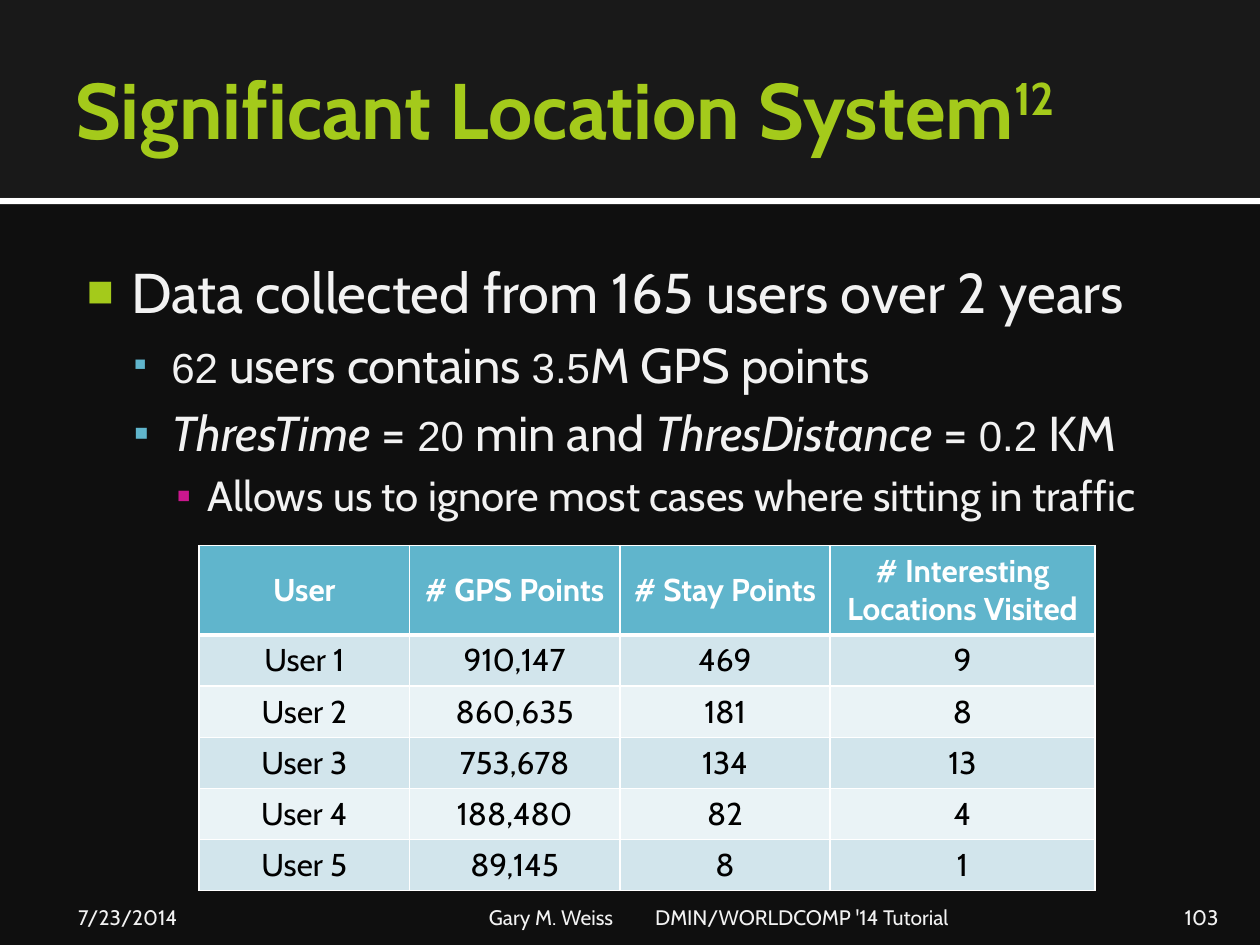
from lxml.etree import SubElement
from pptx import Presentation
from pptx.dml.color import RGBColor
from pptx.enum.shapes import MSO_SHAPE
from pptx.enum.text import MSO_ANCHOR, MSO_AUTO_SIZE, PP_ALIGN
from pptx.oxml import parse_xml
from pptx.oxml.ns import nsdecls, qn
from pptx.util import Inches, Pt

COLORS = {
    "background": "0F0F0F", "band": "191919", "white": "FFFFFF",
    "title": "A4CA1B", "text": "F2F2F2", "black": "000000",
    "header": "60B5CC", "odd": "D2E5EC", "even": "EAF3F6", "pink": "CB178E",
}


def color(name):
    return RGBColor.from_string(COLORS[name])


def add_span(para, text, size, tint="text", font="Cabin", **formats):
    span = para.add_run()
    span.text = text
    span.font.color.rgb = color(tint)
    for name, value in {"size": Pt(size), "name": font, **formats}.items():
        setattr(span.font, name, value)
    return span


deck = Presentation()
deck.slide_width, deck.slide_height = Inches(10), Inches(7.5)
page = deck.slides.add_slide(deck.slide_layouts[1])
page.background.fill.solid()
page.background.fill.fore_color.rgb = color("background")
title, body = page.placeholders

for top, height, fill in [(1.57, 0.05, "white"), (0, 1.57, "band")]:
    band = page.shapes.add_shape(
        MSO_SHAPE.RECTANGLE, 0, Inches(top), Inches(10), Inches(height))
    band.shadow.inherit = False
    band.fill.solid()
    band.fill.fore_color.rgb = color(fill)
    band.line.fill.background()
    title._element.addprevious(band._element)

date = page.shapes.add_textbox(0, 0, 0, 0)
footer = page.shapes.add_textbox(0, 0, 0, 0)
number = page.shapes.add_textbox(0, 0, 0, 0)

frames = [
    (title, (0.5, 0.17, 9, 1.37), (0.1, 0.05, 0.05, 0.05), MSO_ANCHOR.MIDDLE),
    (body, (0.5, 1.94, 9.17, 5.06), (0.06, 0.1, 0.1, 0.05), MSO_ANCHOR.TOP),
    (date, (0.5, 7.08, 2.33, 0.3), (0.12, 0.05, 0.05, 0), MSO_ANCHOR.BOTTOM),
    (footer, (3.83, 7.08, 5.08, 0.3), (0.05, 0.05, 0.05, 0), MSO_ANCHOR.BOTTOM),
    (number, (8.97, 7.08, 0.8, 0.3), (0.1, 0.05, 0.1, 0), MSO_ANCHOR.BOTTOM),
]
for box, place, insets, anchor in frames:
    for name, value in zip(("left", "top", "width", "height"), place):
        setattr(box, name, Inches(value))
    for side, value in zip(("left", "top", "right", "bottom"), insets):
        setattr(box.text_frame, f"margin_{side}", Inches(value))
    box.text_frame.word_wrap = True
    box.text_frame.auto_size = MSO_AUTO_SIZE.NONE
    box.text_frame.vertical_anchor = anchor

para = title.text_frame.paragraphs[0]
para.alignment = PP_ALIGN.LEFT
add_span(para, "Significant Location System", 45, "title", bold=True)
note = add_span(para, "12", 45, "title", bold=True)
note._r.get_or_add_rPr().set("baseline", "30000")

levels = [
    {"left": 0.48, "hang": 0.35, "mark": "■", "tint": "title", "scale": 80, "before": 0},
    {"left": 0.8, "hang": 0.3, "mark": "▪", "tint": "header", "scale": 90, "before": 5.6},
    {"left": 1.09, "hang": 0.25, "mark": "▪", "tint": "pink", "scale": 100, "before": 4.8},
]
digits = {"size": 24, "font": "Arial"}
plain = {"size": 28}
italic = {"size": 28, "italic": True}
bullets = [
    (0, [("Data collected from 165 users over 2 years", {"size": 32})]),
    (1, [("62", digits), (" users contains ", plain), ("3.5", digits),
         ("M GPS points", plain)]),
    (1, [("ThresTime", italic), (" = ", plain), ("20", digits), (" min and ", plain),
         ("ThresDistance", italic), (" = ", plain), ("0.2", digits), (" KM", plain)]),
    (2, [("Allows us to ignore most cases where sitting in traffic", {"size": 24})]),
]
for index, (level, spans) in enumerate(bullets):
    para = body.text_frame.add_paragraph() if index else body.text_frame.paragraphs[0]
    style = levels[level]
    para.level = level
    para.space_before = Pt(style["before"])
    props = para._p.get_or_add_pPr()
    props.set("marL", str(Inches(style["left"])))
    props.set("indent", str(-Inches(style["hang"])))
    tint = SubElement(props, qn("a:buClr"))
    SubElement(tint, qn("a:srgbClr"), val=COLORS[style["tint"]])
    SubElement(props, qn("a:buSzPct"), val=str(style["scale"] * 1000))
    SubElement(props, qn("a:buFont"), typeface="Arial")
    SubElement(props, qn("a:buChar"), char=style["mark"])
    for text, formats in spans:
        add_span(para, text, **formats)

for box, text, alignment in [
    (date, "7/23/2014", PP_ALIGN.LEFT),
    (footer, "Gary M. Weiss\tDMIN/WORLDCOMP '14 Tutorial", PP_ALIGN.LEFT),
    (number, "103", PP_ALIGN.RIGHT),
]:
    para = box.text_frame.paragraphs[0]
    para.alignment = alignment
    add_span(para, text, 12)
tabs = SubElement(footer.text_frame.paragraphs[0]._p.get_or_add_pPr(), qn("a:tabLst"))
SubElement(tabs, qn("a:tab"), pos=str(Inches(1.32)), algn="l")

rows = [
    ("User", "# GPS Points", "# Stay Points", "# Interesting Locations Visited"),
    ("User 1", "910,147", "469", "9"),
    ("User 2", "860,635", "181", "8"),
    ("User 3", "753,678", "134", "13"),
    ("User 4", "188,480", "82", "4"),
    ("User 5", "89,145", "8", "1"),
]
table = page.shapes.add_table(
    len(rows), 4, Inches(1.58), Inches(4.33), Inches(7.1), Inches(2.37)).table
for column, width in zip(table.columns, (1.67, 1.67, 1.67, 2.1)):
    column.width = Inches(width)
for index, values in enumerate(rows):
    header = index == 0
    table.rows[index].height = Inches(0.62 if header else 0.35)
    fill = "header" if header else "odd" if index % 2 else "even"
    edges = {"L": 1, "R": 1, "T": 3 if index == 1 else 1, "B": 3 if header else 1}
    for cell, text in zip(table.rows[index].cells, values):
        cell.vertical_anchor = MSO_ANCHOR.MIDDLE
        para = cell.text_frame.paragraphs[0]
        para.alignment = PP_ALIGN.CENTER
        add_span(para, text, 18, "white" if header else "black", bold=header)
        props = cell._tc.get_or_add_tcPr()
        for side, width in edges.items():
            props.append(parse_xml(
                f'<a:ln{side} {nsdecls("a")} w="{Pt(width)}"><a:solidFill>'
                f'<a:srgbClr val="{COLORS["white"]}"/></a:solidFill></a:ln{side}>'))
        cell.fill.solid()
        cell.fill.fore_color.rgb = color(fill)

deck.save("out.pptx")
